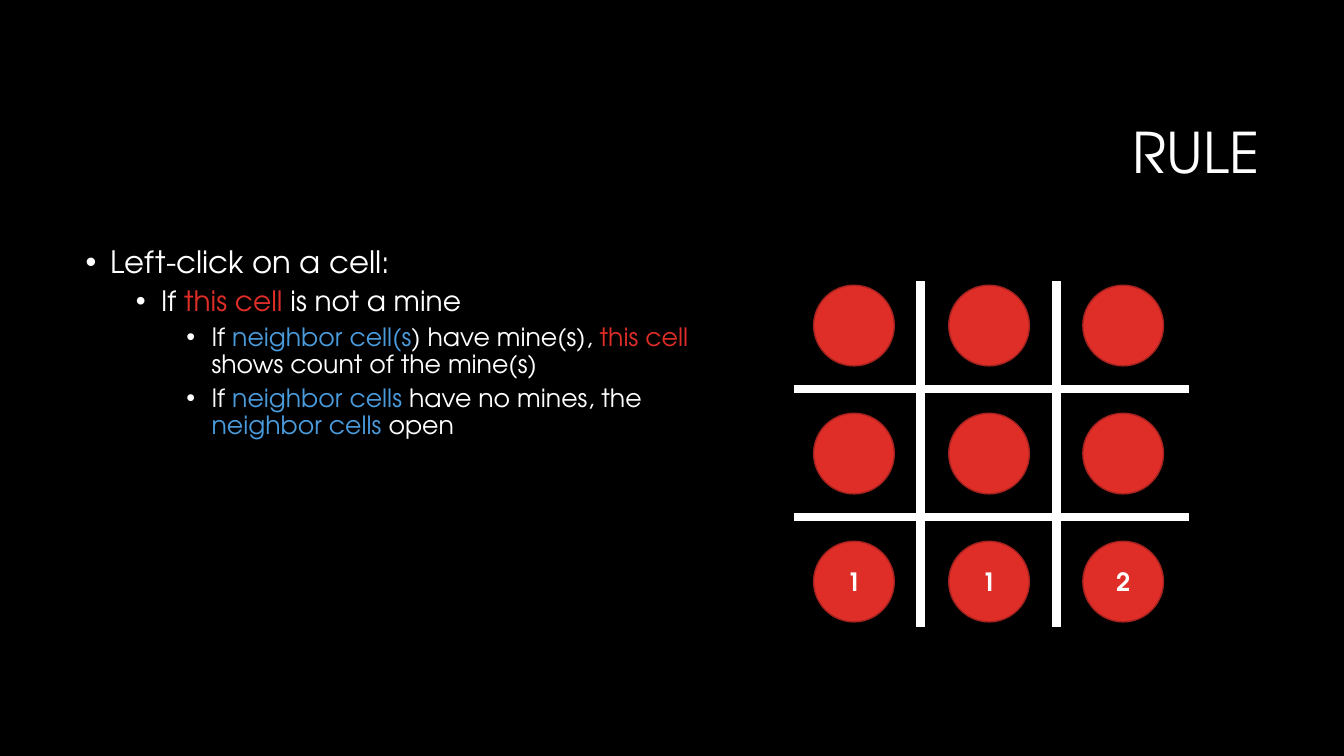
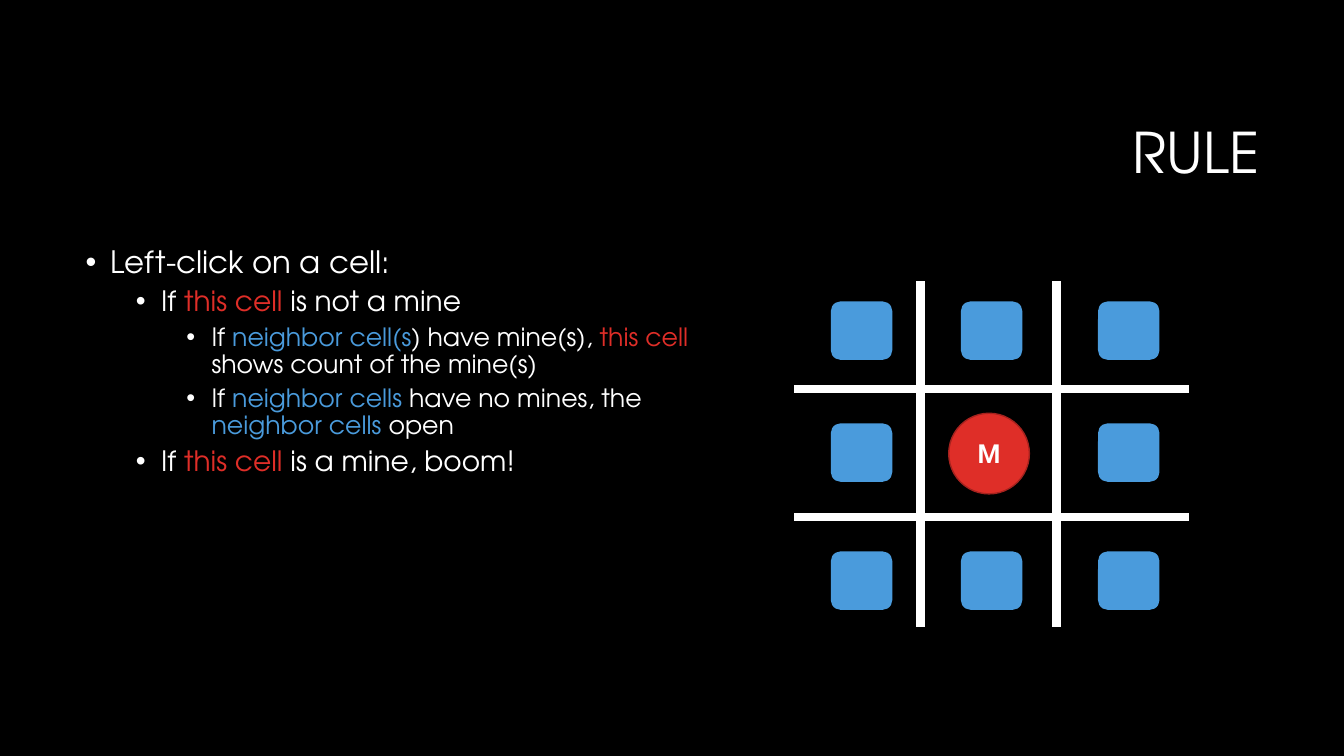
import pptx
import pptx.dml.color
import pptx.enum.shapes
import pptx.enum.text
import pptx.oxml
import pptx.oxml.ns
import pptx.util
import lxml.etree

Inches = pptx.util.Inches
Pt = pptx.util.Pt
SHAPE = pptx.enum.shapes.MSO_SHAPE
ALIGN = pptx.enum.text.PP_ALIGN
ANCHOR = pptx.enum.text.MSO_ANCHOR

FONT = "TeX Gyre Adventor"
COLORS = {"back": "000000", "text": "FFFFFF", "cell": "DF2E28",
          "edge": "A5221E", "near": "4A9BDC"}

TITLE_BOX = (3.17, 0.84, 9.42, 1.41)
LIST_BOX = (0.75, 2.4, 6.72, 4.4)
BOARD_BOX = (7.88, 2.79, 3.91, 3.43)

# Offsets from the board's top left corner
WALLS = (1.25, 2.6)
FLOORS = (1.07, 2.34)
DISC = {"lefts": (0.19, 1.53, 2.86), "tops": (0.04, 1.31, 2.58), "size": (0.8, 0.8)}
TILE = {"lefts": (0.36, 1.65, 3.01), "tops": (0.2, 1.41, 2.68), "size": (0.61, 0.58)}

# Size and space before, in points, for each list level
LEVELS = ((22, 10), (20, 5), (18, 5))

SAFE = [
    (0, [("Left-click on a cell:", "text")]),
    (1, [("If ", "text"), ("this cell ", "cell"), ("is not a mine", "text")]),
    (2, [("If ", "text"), ("neighbor cell(s", "near"), (") have mine(s), ", "text"),
         ("this cell ", "cell"), ("shows count of the mine(s)", "text")]),
    (2, [("If ", "text"), ("neighbor cells ", "near"), ("have no mines, the ", "text"),
         ("neighbor cells ", "near"), ("open", "text")]),
]
BOOM = (1, [("If ", "text"), ("this cell ", "cell"), ("is a mine, boom!", "text")])

# Each mark is a disc with that text; None is a neighbor tile
COUNTS = (("", "", ""), ("", "", ""), ("1", "1", "2"))
MINE = ((None, None, None), (None, "M", None), (None, None, None))


def color(name):
    return pptx.dml.color.RGBColor.from_string(COLORS[name])


def style(run, size, name="text", bold=False):
    run.font.name = FONT
    run.font.size = Pt(size)
    run.font.bold = bold
    run.font.color.rgb = color(name)


def add_box(slide, box):
    frame = slide.shapes.add_textbox(*map(Inches, box)).text_frame
    frame.word_wrap = True
    return frame


def add_title(slide, box, text):
    frame = add_box(slide, box)
    frame.vertical_anchor = ANCHOR.MIDDLE
    frame.text = text
    para = frame.paragraphs[0]
    para.alignment = ALIGN.RIGHT
    para.line_spacing = 0.9
    style(para.runs[0], 40)


def add_bullet(para, level):
    props = para._p.get_or_add_pPr()
    props.set("marL", str(Inches(0.25 + 0.5 * level)))
    props.set("indent", str(Inches(-0.25)))
    font = lxml.etree.SubElement(props, pptx.oxml.ns.qn("a:buFont"))
    font.set("typeface", "Arial")
    mark = lxml.etree.SubElement(props, pptx.oxml.ns.qn("a:buChar"))
    mark.set("char", "•")


def add_list(slide, box, items):
    frame = add_box(slide, box)
    for index, (level, parts) in enumerate(items):
        para = frame.add_paragraph() if index else frame.paragraphs[0]
        size, space = LEVELS[level]
        para.level = level
        para.line_spacing = 0.9
        para.space_before = Pt(space)
        add_bullet(para, level)
        for text, name in parts:
            run = para.add_run()
            run.text = text
            style(run, size, name)


def add_line(slide, *ends):
    line = slide.shapes.add_connector(
        pptx.enum.shapes.MSO_CONNECTOR.STRAIGHT, *map(Inches, ends))
    line.line.color.rgb = color("text")
    line.line.width = Pt(6)
    lxml.etree.SubElement(line._element.spPr, pptx.oxml.ns.qn("a:effectLst"))


def add_cell(slide, left, top, row, col, mark):
    tile = mark is None
    kind = TILE if tile else DISC
    cell = slide.shapes.add_shape(
        SHAPE.ROUNDED_RECTANGLE if tile else SHAPE.OVAL,
        Inches(left + kind["lefts"][col]), Inches(top + kind["tops"][row]),
        *map(Inches, kind["size"]))
    cell.shadow.inherit = False
    cell.fill.solid()
    cell.fill.fore_color.rgb = color("near" if tile else "cell")
    if tile:
        cell.line.fill.background()
    else:
        cell.line.color.rgb = color("edge")
        cell.line.width = Pt(1)
    if mark:
        frame = cell.text_frame
        frame.vertical_anchor = ANCHOR.MIDDLE
        frame.text = mark
        frame.paragraphs[0].alignment = ALIGN.CENTER
        style(frame.paragraphs[0].runs[0], 18, bold=True)


def add_board(slide, box, marks):
    left, top, width, height = box
    for wall in WALLS:
        add_line(slide, left + wall, top, left + wall, top + height)
    for floor in FLOORS:
        add_line(slide, left, top + floor, left + width, top + floor)
    for row, line in enumerate(marks):
        for col, mark in enumerate(line):
            add_cell(slide, left, top, row, col, mark)


def add_rule(deck, items, marks):
    slide = deck.slides.add_slide(deck.slide_layouts[6])
    add_title(slide, TITLE_BOX, "RULE")
    add_list(slide, LIST_BOX, items)
    add_board(slide, BOARD_BOX, marks)


def main():
    deck = pptx.Presentation()
    deck.slide_width = Inches(13.33)
    deck.slide_height = Inches(7.5)
    back = deck.slide_master.background.fill
    back.solid()
    back.fore_color.rgb = color("back")
    add_rule(deck, SAFE, COUNTS)
    add_rule(deck, SAFE + [BOOM], MINE)
    deck.save("out.pptx")


if __name__ == "__main__":
    main()
